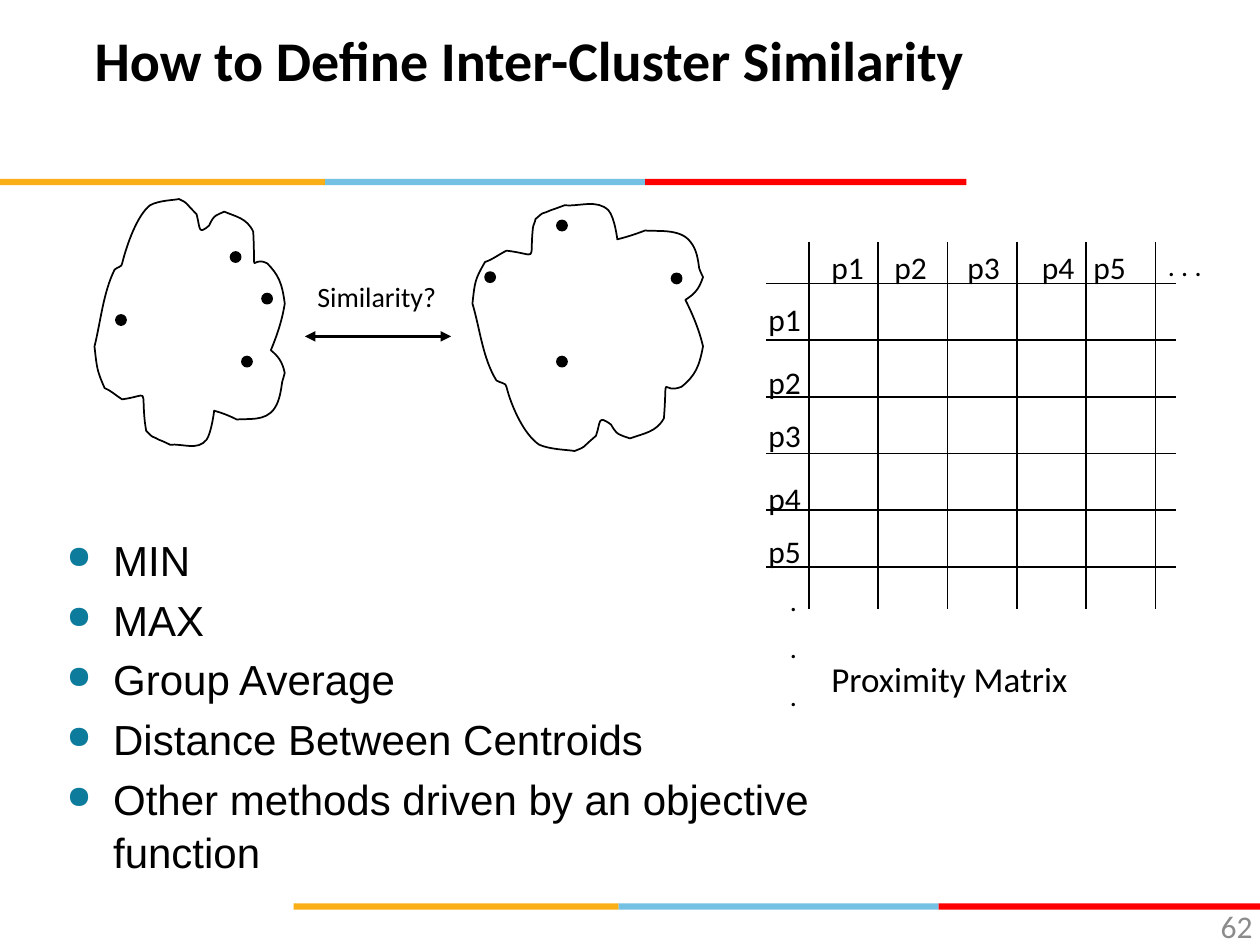
from dataclasses import dataclass

from lxml.etree import SubElement
from pptx import Presentation
from pptx.dml.color import RGBColor
from pptx.enum.shapes import MSO_CONNECTOR, MSO_SHAPE
from pptx.enum.text import PP_ALIGN
from pptx.oxml.ns import qn
from pptx.util import Inches, Pt

BLACK = "000000"
BAR_COLORS = ("FBAF17", "75C1E4", "FF0000")
BAR_EDGES = (0, 2.58, 5.12, 7.67)
LABELS = ("p1", "p2", "p3", "p4", "p5")
COLUMN_LABEL_LEFTS = (6.5, 7, 7.58, 8.17, 8.58)
ROW_LABEL_TOPS = (2.33, 2.83, 3.25, 3.75, 4.17)
METHODS = ("MIN", "MAX", "Group Average", "Distance Between Centroids",
           "Other methods driven by an objective function")
POINTS = ((1.92, 2.83), (1.83, 2), (0.92, 2.5), (2.08, 2.33),
          (5.33, 2.17), (3.85, 2.16), (4.42, 2.83), (4.42, 1.75))

# Cluster outline in hundredths of an inch: a start, then three points per curve.
OUTLINE_START = (91, 214)
OUTLINE = (
    (82, 232), (80, 255), (75, 275), (77, 293), (77, 294), (83, 308),
    (88, 310), (92, 314), (97, 317), (119, 314), (112, 307), (115, 335),
    (115, 337), (116, 340), (116, 342), (123, 349), (119, 345), (126, 349),
    (129, 350), (135, 353), (135, 353), (145, 352), (157, 358), (164, 349),
    (168, 343), (170, 326), (170, 326), (177, 328), (182, 330), (188, 333),
    (196, 332), (211, 335), (218, 324), (222, 318), (223, 310), (224, 303),
    (225, 300), (226, 296), (226, 296), (224, 287), (221, 283), (215, 278),
    (220, 266), (224, 254), (226, 241), (224, 225), (221, 218), (212, 209),
    (198, 202), (203, 224), (201, 184), (196, 173), (187, 172), (178, 168),
    (172, 171), (170, 170), (166, 179), (157, 187), (159, 181), (156, 170),
    (145, 159), (150, 162), (142, 158), (138, 159), (126, 159), (119, 163),
    (109, 171), (101, 193), (97, 209), (97, 212), (93, 212), (91, 214),
)
OUTLINE_LEFT, OUTLINE_TOP, OUTLINE_BOTTOM = 75, 158, 358


@dataclass
class Label:
    text: str
    left: float
    top: float
    width: float = 0.58
    height: float = 0.4
    size: float = 18
    color: str = BLACK
    bold: bool = False
    font: str = "Calibri"
    inset: bool = True
    align: PP_ALIGN = PP_ALIGN.LEFT
    before: float = 0
    after: float = 0
    line_spacing: float = 1.0
    bullet: bool = False


def rgb(color: str) -> RGBColor:
    return RGBColor.from_string(color)


def set_all(target, values: dict) -> None:
    for name, value in values.items():
        setattr(target, name, value)


def add_bullet(p) -> None:
    pPr = p._p.get_or_add_pPr()
    pPr.set("marL", str(Inches(0.38)))
    pPr.set("indent", str(Inches(-0.37)))
    color = SubElement(pPr, qn("a:buClr"))
    SubElement(color, qn("a:srgbClr"), val="0C7B9C")
    SubElement(pPr, qn("a:buSzPct"), val="75000")
    SubElement(pPr, qn("a:buChar"), char="●")


def add_label(slide, label: Label) -> None:
    """Add a text box with one paragraph per line of the label's text."""
    sp = slide.shapes.add_textbox(Inches(label.left), Inches(label.top),
                                  Inches(label.width), Inches(label.height))
    tf = sp.text_frame
    tf.word_wrap = True
    if not label.inset:
        set_all(tf, dict.fromkeys(
            ("margin_left", "margin_top", "margin_right", "margin_bottom"), 0))
    for i, line in enumerate(label.text.split("\n")):
        p = tf.paragraphs[0] if i == 0 else tf.add_paragraph()
        set_all(p, {"alignment": label.align, "line_spacing": label.line_spacing,
                    "space_before": Pt(label.before if i else 0),
                    "space_after": Pt(label.after)})
        if label.bullet:
            add_bullet(p)
        r = p.add_run()
        r.text = line
        set_all(r.font, {"name": label.font, "size": Pt(label.size), "bold": label.bold})
        r.font.color.rgb = rgb(label.color)


def add_line(slide, x1: float, y1: float, x2: float, y2: float,
             width: float = 1, arrows: bool = False) -> None:
    line = slide.shapes.add_connector(MSO_CONNECTOR.STRAIGHT, Inches(x1), Inches(y1),
                                      Inches(x2), Inches(y2))
    line.line.color.rgb = rgb(BLACK)
    line.line.width = Pt(width)
    spPr = line._element.spPr
    if arrows:
        for end in ("a:headEnd", "a:tailEnd"):
            SubElement(spPr.find(qn("a:ln")), qn(end), type="triangle")
    SubElement(spPr, qn("a:effectLst"))


def add_bars(slide, left: float, top: float) -> None:
    """Add the three-colour rule of the theme."""
    for color, start, end in zip(BAR_COLORS, BAR_EDGES, BAR_EDGES[1:]):
        sp = slide.shapes.add_shape(MSO_SHAPE.RECTANGLE, Inches(left + start), Inches(top),
                                    Inches(end - start), Inches(0.05))
        sp.shadow.inherit = False
        sp.fill.solid()
        sp.fill.fore_color.rgb = rgb(color)
        sp.line.fill.background()


def add_cluster(slide, left: int, stretch: float = 1, flip: bool = False) -> None:
    """Add the cluster outline, stretched sideways and optionally upside down."""
    def place(x: int, y: int) -> tuple[int, int]:
        return (round(left + (x - OUTLINE_LEFT) * stretch),
                OUTLINE_TOP + OUTLINE_BOTTOM - y if flip else y)

    builder = slide.shapes.build_freeform(*place(*OUTLINE_START), scale=Inches(0.01))
    builder.add_line_segments([place(*point) for point in OUTLINE], close=True)
    sp = builder.convert_to_shape()
    # The freeform builder knows straight segments only: regroup them as curves.
    segments = list(sp._element.iter(qn("a:lnTo")))
    for i in range(0, len(segments), 3):
        curve = segments[i].makeelement(qn("a:cubicBezTo"))
        segments[i].addprevious(curve)
        for segment in segments[i:i + 3]:
            curve.append(segment[0])
            segment.getparent().remove(segment)
    sp.shadow.inherit = False
    sp.fill.background()
    sp.line.color.rgb = rgb(BLACK)
    sp.line.width = Pt(1)


def add_point(slide, left: float, top: float) -> None:
    sp = slide.shapes.add_shape(MSO_SHAPE.OVAL, Inches(left), Inches(top),
                                Inches(0.08), Inches(0.08))
    sp.shadow.inherit = False
    sp.fill.solid()
    sp.fill.fore_color.rgb = rgb(BLACK)
    sp.line.color.rgb = rgb(BLACK)
    sp.line.width = Pt(1)


def add_matrix(slide) -> None:
    for i in range(6):
        x, y = 6.42 + 0.55 * i, 2.25 + 0.45 * i
        add_line(slide, x, 1.92, x, 4.83)
        add_line(slide, 6.08, y, 9.33, y)
    for text, left, top in zip(LABELS, COLUMN_LABEL_LEFTS, ROW_LABEL_TOPS):
        add_label(slide, Label(text, left, 1.92))
        add_label(slide, Label(text, 6, top))
    add_label(slide, Label(". . .", 9.17, 1.92, height=0.36, size=16))
    add_label(slide, Label(".\n.\n.", 6.17, 4.58, height=1.12, size=16, before=8))
    add_label(slide, Label("Proximity Matrix", 6.5, 5.17, 2.75, 0.43, 20))


def main() -> None:
    prs = Presentation()
    prs.slide_width, prs.slide_height = Inches(10), Inches(7.5)
    slide = prs.slides.add_slide(prs.slide_layouts[6])
    add_bars(slide, 0, 1.42)
    add_bars(slide, 2.33, 7.17)
    add_label(slide, Label("How to Define Inter-Cluster Similarity", 0.75, 0.2, 8.62, 0.5,
                           32, bold=True, inset=False))
    add_label(slide, Label("62", 7.69, 7.2, 2.25, 0.25, color="8B8B8B",
                           inset=False, align=PP_ALIGN.RIGHT))
    add_matrix(slide)
    add_line(slide, 2.42, 2.67, 3.58, 2.67, width=2, arrows=True)
    add_label(slide, Label("Similarity?", 2.42, 2.17, 1.58, 0.36, 16))
    add_label(slide, Label("\n".join(METHODS), 0.42, 4.17, 6.33, 3.17, 24, font="Arial",
                           before=2, after=2, line_spacing=1.05, bullet=True))
    add_cluster(slide, 75)
    add_cluster(slide, 375, stretch=1.21, flip=True)
    for left, top in POINTS:
        add_point(slide, left, top)
    prs.save("out.pptx")


if __name__ == "__main__":
    main()
